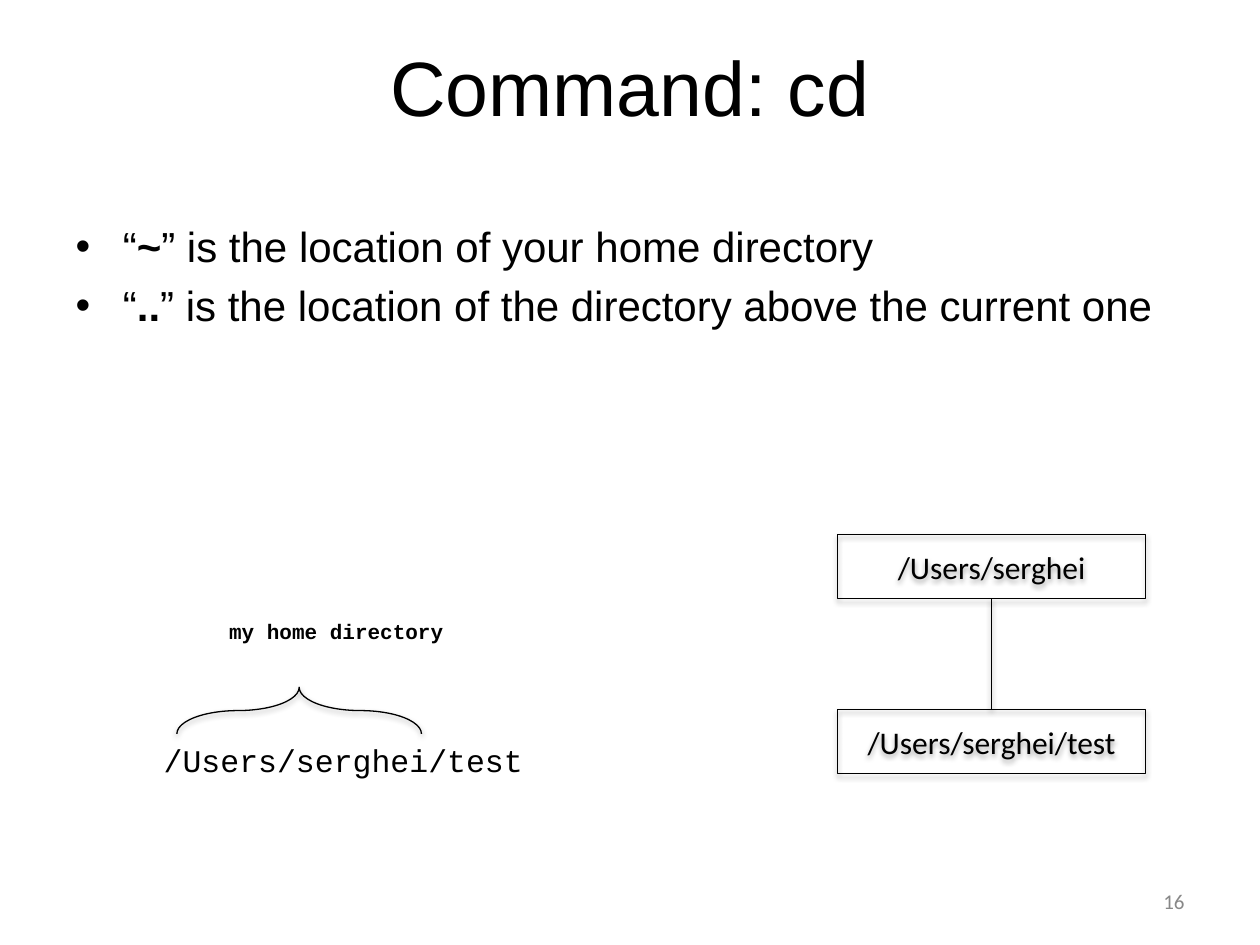
from lxml import etree
from pptx import Presentation
from pptx.dml.color import RGBColor
from pptx.enum.shapes import MSO_CONNECTOR, MSO_SHAPE
from pptx.enum.text import MSO_ANCHOR, PP_ALIGN
from pptx.oxml.ns import qn
from pptx.util import Cm, Pt

RECTANGLE, LEFT_BRACE = MSO_SHAPE.RECTANGLE, MSO_SHAPE.LEFT_BRACE
STRAIGHT = MSO_CONNECTOR.STRAIGHT
LEFT, CENTER, RIGHT = PP_ALIGN.LEFT, PP_ALIGN.CENTER, PP_ALIGN.RIGHT
TOP, MIDDLE = MSO_ANCHOR.TOP, MSO_ANCHOR.MIDDLE

COLORS = {"ink": "000000", "page_number": "888888"}
HEADING_FONT, LABEL_FONT, CODE_FONT = "Arial", "Calibri", "Courier New"


class SlideBuilder:
    """Holds the style and the current slide; all lengths are in centimetres."""

    line_width = Pt(0.75)

    def __init__(self, slide):
        self.slide = slide

    def place(self, shape, left, top, width, height):
        shape.left, shape.top = Cm(left), Cm(top)
        shape.width, shape.height = Cm(width), Cm(height)

    def add_run(self, paragraph, text, size, font, color="ink", bold=False):
        run = paragraph.add_run()
        run.text = text
        run.font.size = Pt(size)
        run.font.name = font
        run.font.bold = bold
        run.font.color.rgb = RGBColor.from_string(COLORS[color])

    def add_shadow(self, shape, opacity, distance):
        """Give the shape a soft shadow straight below it."""
        properties = shape._element.spPr
        effects = properties.find(qn("a:effectLst"))
        if effects is None:
            effects = etree.SubElement(properties, qn("a:effectLst"))
        shadow = etree.SubElement(
            effects, qn("a:outerShdw"), blurRad=str(Pt(3.1)),
            dist=str(Pt(distance)), dir="5400000", rotWithShape="0")
        color = etree.SubElement(shadow, qn("a:srgbClr"), val=COLORS["ink"])
        etree.SubElement(color, qn("a:alpha"), val=str(opacity * 1000))

    def draw_line(self, shape):
        shape.line.color.rgb = RGBColor.from_string(COLORS["ink"])
        shape.line.width = self.line_width

    def outline(self, preset, box, opacity, distance):
        """Add an unfilled preset shape with a thin line and a shadow."""
        shape = self.slide.shapes.add_shape(preset, *map(Cm, box))
        shape.fill.background()
        self.draw_line(shape)
        shape.shadow.inherit = False
        self.add_shadow(shape, opacity, distance)
        return shape

    def title(self, text, box):
        title = self.slide.shapes.title
        self.place(title, *box)
        title.text_frame.vertical_anchor = MIDDLE
        paragraph = title.text_frame.paragraphs[0]
        paragraph.alignment = CENTER
        self.add_run(paragraph, text, 44, HEADING_FONT)

    def definitions(self, entries, box):
        """Fill the body with bullets that explain a quoted symbol."""
        body = self.slide.placeholders[1]
        self.place(body, *box)
        frame = body.text_frame
        for index, (symbol, meaning) in enumerate(entries):
            paragraph = frame.add_paragraph() if index else frame.paragraphs[0]
            paragraph.space_before = Pt(4.8 if index else 0)
            self.add_run(paragraph, "“", 24, HEADING_FONT)
            self.add_run(paragraph, symbol, 24, HEADING_FONT, bold=True)
            self.add_run(paragraph, f"” {meaning}", 24, HEADING_FONT)

    def directory(self, name, box):
        node = self.outline(RECTANGLE, box, 35, 1.8)
        node.text_frame.vertical_anchor = MIDDLE
        paragraph = node.text_frame.paragraphs[0]
        paragraph.alignment = CENTER
        self.add_run(paragraph, name, 18, LABEL_FONT)
        return node

    def link(self, parent, child):
        edge = self.slide.shapes.add_connector(STRAIGHT, 0, 0, 0, 0)
        edge.begin_connect(parent, 2)
        edge.end_connect(child, 0)
        self.draw_line(edge)
        self.add_shadow(edge, 38, 1.6)

    def brace(self, box):
        brace = self.outline(LEFT_BRACE, box, 38, 1.6)
        brace.rotation = 90
        brace.adjustments[0] = 1.77

    def text(self, text, box, size, font, color="ink", bold=False,
             align=LEFT, anchor=TOP):
        frame = self.slide.shapes.add_textbox(*map(Cm, box)).text_frame
        frame.word_wrap = True
        frame.vertical_anchor = anchor
        paragraph = frame.paragraphs[0]
        paragraph.alignment = align
        self.add_run(paragraph, text, size, font, color, bold)


def main():
    deck = Presentation()
    deck.slide_width, deck.slide_height = Cm(25.4), Cm(19.05)
    builder = SlideBuilder(deck.slides.add_slide(deck.slide_layouts[1]))

    builder.title("Command: cd", (1.27, 0.13, 22.86, 3.18))
    builder.definitions(
        [("~", "is the location of your home directory"),
         ("..", "is the location of the directory above the current one")],
        (1.27, 4.32, 22.86, 4.85))

    home_path = "/Users/serghei"
    test_path = f"{home_path}/test"
    home, test = [
        builder.directory(name, (16.89, 10.77 + level * 3.53, 6.2, 1.3))
        for level, name in enumerate([home_path, test_path])]
    builder.link(home, test)

    builder.text(test_path, (3.05, 14.81, 10.52, 1.02), 18, CODE_FONT)
    builder.brace((5.56, 11.86, 0.94, 4.93))
    builder.text("my home directory", (4.37, 12.34, 4.88, 0.76), 12, CODE_FONT,
                 bold=True)
    builder.text("16", (18.21, 17.65, 5.92, 1.02), 12, LABEL_FONT,
                 "page_number", align=RIGHT, anchor=MIDDLE)

    deck.save("out.pptx")


if __name__ == "__main__":
    main()
